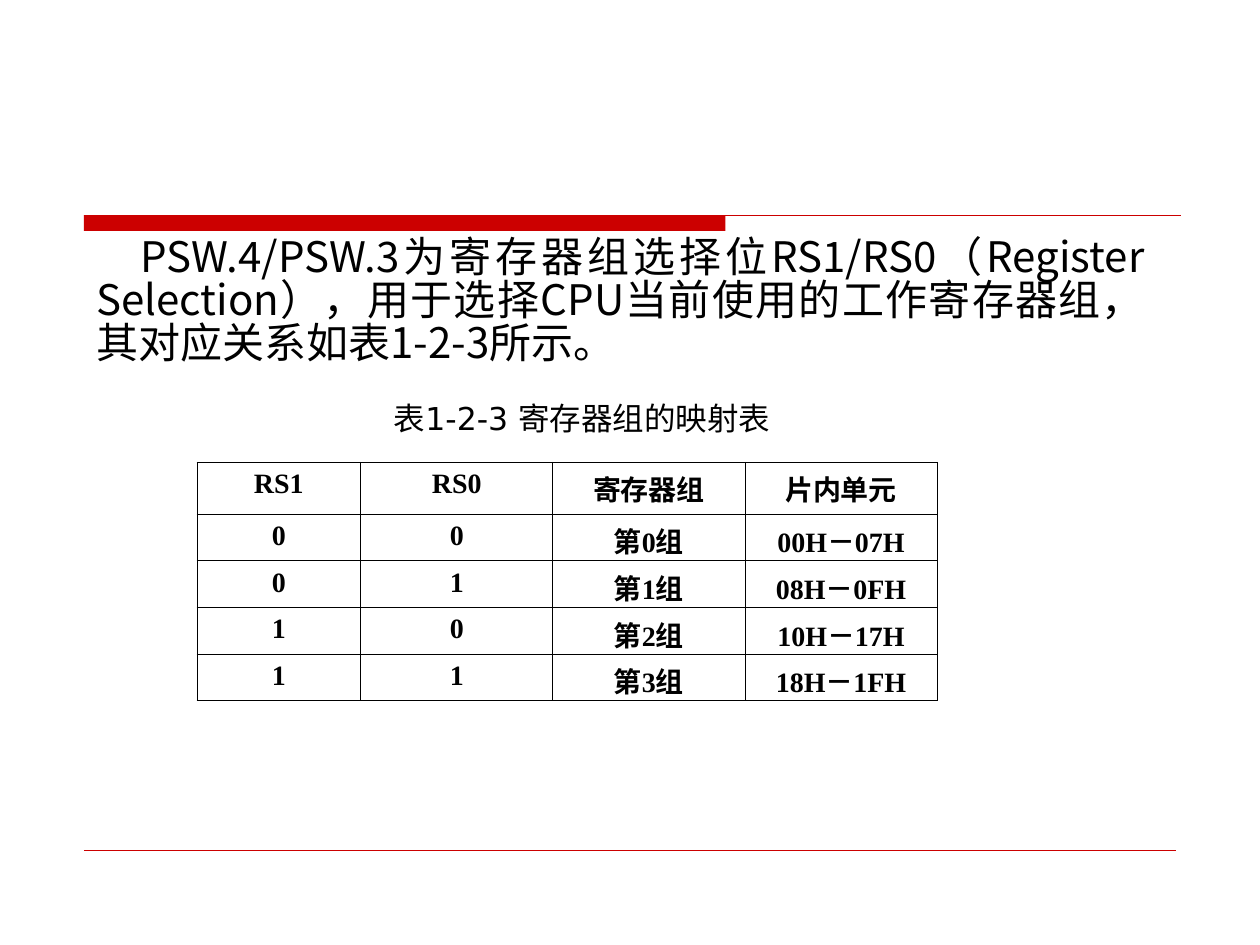
"""Build the slide that maps the RS1/RS0 bits to register groups."""
from lxml.etree import SubElement
from pptx import Presentation
from pptx.dml.color import RGBColor
from pptx.enum.shapes import MSO_CONNECTOR as Connector, MSO_SHAPE as Shape
from pptx.enum.text import PP_ALIGN as Align
from pptx.oxml.ns import qn
from pptx.util import Pt

RED, BLACK, WHITE = "CC0000", "000000", "FFFFFF"
CJK_FONT = "Noto Sans CJK SC"


def color(value):
    return RGBColor.from_string(value)


def write(frame, text, size, font, align, bold=False):
    frame.word_wrap = True
    para = frame.paragraphs[0]
    para.text = text
    para.alignment = align
    for span in para.runs:
        span.font.size = Pt(size)
        span.font.bold = bold
        span.font.color.rgb = color(BLACK)
        span.font.name = font
        SubElement(span.font._element, qn("a:ea"), typeface=CJK_FONT)
    return para


deck = Presentation()
deck.slide_width, deck.slide_height = Pt(720), Pt(540)
page = deck.slides.add_slide(deck.slide_layouts[6])

bar = page.shapes.add_shape(Shape.RECTANGLE, Pt(48), Pt(123), Pt(366.5), Pt(9))
bar.shadow.inherit = False
bar.fill.solid()
bar.fill.fore_color.rgb = color(RED)
bar.line.fill.background()

for right, y, weight in [(674.6, 123, 0.75), (672, 486, 0.25)]:
    rule = page.shapes.add_connector(Connector.STRAIGHT, Pt(48), Pt(y), Pt(right), Pt(y))
    rule.line.color.rgb = color(RED)
    rule.line.width = Pt(weight)
    SubElement(rule._element.spPr, qn("a:effectLst"))

body = page.shapes.add_textbox(Pt(48), Pt(128), Pt(613), Pt(389.5))
body.text_frame.margin_top = Pt(8)
para = write(
    body.text_frame,
    "PSW.4/PSW.3为寄存器组选择位RS1/RS0（Register Selection），"
    "用于选择CPU当前使用的工作寄存器组，其对应关系如表1-2-3所示。",
    24, CJK_FONT, Align.JUSTIFY)
para.line_spacing = 0.85
para._p.get_or_add_pPr().set("indent", str(Pt(25)))

caption = page.shapes.add_textbox(Pt(218), Pt(224.5), Pt(258.5), Pt(50))
write(caption.text_frame, "表1-2-3 寄存器组的映射表", 18, "DejaVu Sans", Align.LEFT)

rows = [["RS1", "RS0", "寄存器组", "片内单元"]]
for group, units in enumerate(["00H－07H", "08H－0FH", "10H－17H", "18H－1FH"]):
    rows.append([str(group // 2), str(group % 2), f"第{group}组", units])

widths = [93.6, 109.8, 109.8, 109.8]
heights = [29.6] + [26.65] * 4
table = page.shapes.add_table(
    len(rows), len(widths), Pt(112.5), Pt(264.2), Pt(sum(widths)), Pt(sum(heights))).table
for column, width in zip(table.columns, widths):
    column.width = Pt(width)
for row, height, texts in zip(table.rows, heights, rows):
    row.height = Pt(height)
    for cell, text in zip(row.cells, texts):
        write(cell.text_frame, text, 16, "Times New Roman", Align.CENTER, True)
        props = cell._tc.get_or_add_tcPr()
        for side in ("lnL", "lnR", "lnT", "lnB"):
            border = SubElement(props, qn(f"a:{side}"), w=str(Pt(0.45)))
            paint = SubElement(border, qn("a:solidFill"))
            SubElement(paint, qn("a:srgbClr"), val=BLACK)
        cell.fill.solid()
        cell.fill.fore_color.rgb = color(WHITE)

deck.save("out.pptx")
